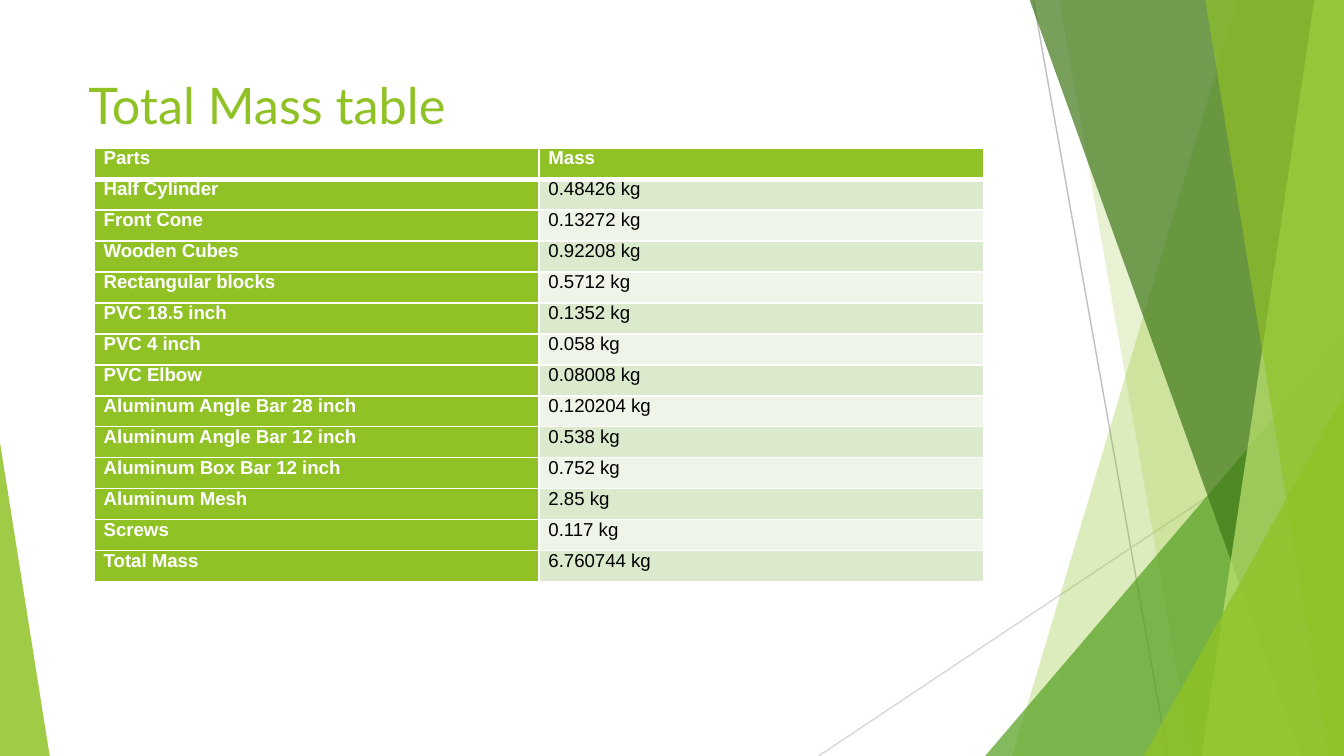
from lxml.etree import SubElement
from pptx import Presentation
from pptx.dml.color import RGBColor
from pptx.enum.shapes import MSO_CONNECTOR, MSO_SHAPE
from pptx.enum.text import MSO_ANCHOR, PP_ALIGN
from pptx.oxml.ns import qn
from pptx.util import Cm, Pt

WIDTH, HEIGHT = 25.4, 14.29
LIME, WHITE, BLACK = "90C226", "FFFFFF", "000000"
BANDS = ("DBE9CD", "EEF4E8")

MASSES = [
    ("Parts", "Mass"),
    ("Half Cylinder", "0.48426 kg"),
    ("Front Cone", "0.13272 kg"),
    ("Wooden Cubes", "0.92208 kg"),
    ("Rectangular blocks", "0.5712 kg"),
    ("PVC 18.5 inch", "0.1352 kg"),
    ("PVC 4 inch", "0.058 kg"),
    ("PVC Elbow", "0.08008 kg"),
    ("Aluminum Angle Bar 28 inch", "0.120204 kg"),
    ("Aluminum Angle Bar 12 inch", "0.538 kg"),
    ("Aluminum Box Bar 12 inch", "0.752 kg"),
    ("Aluminum Mesh", "2.85 kg"),
    ("Screws", "0.117 kg"),
    ("Total Mass", "6.760744 kg"),
]


def rgb(code):
    return RGBColor.from_string(code)


def write(frame, text, *, font="Arial", size=10, color=BLACK, bold=False,
          align=PP_ALIGN.LEFT):
    paragraph = frame.paragraphs[0]
    paragraph.alignment = align
    run = paragraph.add_run()
    run.text = text
    run.font.name = font
    run.font.size = Pt(size)
    run.font.bold = bold
    run.font.color.rgb = rgb(color)


class MassSlide:
    def __init__(self, deck):
        self.slide = deck.slides.add_slide(deck.slide_layouts[6])
        self.shapes = self.slide.shapes

    def paint(self, facet, color, opacity):
        facet.shadow.inherit = False
        facet.line.fill.background()
        facet.fill.solid()
        facet.fill.fore_color.rgb = rgb(color)
        for tint in facet.fill._xPr.iter(qn("a:srgbClr")):
            SubElement(tint, qn("a:alpha"), val=str(opacity * 1000))

    def ray(self, start, end, color):
        ray = self.shapes.add_connector(
            MSO_CONNECTOR.STRAIGHT, *map(Cm, start + end))
        ray.line.color.rgb = rgb(color)
        ray.line.width = Pt(0.75)
        SubElement(ray._element.spPr, qn("a:effectLst"))

    def panel(self, top_x, bottom_x, color, opacity):
        """Full-height panel with a slanted left side, flush with the right edge."""
        outline = self.shapes.build_freeform(Cm(top_x), 0)
        corners = [(WIDTH, 0), (WIDTH, HEIGHT), (bottom_x, HEIGHT)]
        outline.add_line_segments([(Cm(x), Cm(y)) for x, y in corners])
        self.paint(outline.convert_to_shape(), color, opacity)

    def wedge(self, left, top, width, apex, color, opacity):
        """Triangle standing on the bottom edge of the slide."""
        wedge = self.shapes.add_shape(
            MSO_SHAPE.ISOSCELES_TRIANGLE,
            Cm(left), Cm(top), Cm(width), Cm(HEIGHT - top))
        wedge.adjustments[0] = apex
        self.paint(wedge, color, opacity)

    def title(self, text, left, top, width, height):
        frame = self.shapes.add_textbox(
            Cm(left), Cm(top), Cm(width), Cm(height)).text_frame
        frame.word_wrap = True
        frame.vertical_anchor = MSO_ANCHOR.TOP
        write(frame, text, font="Lato", size=27, color=LIME)

    def borders(self, cell, **widths):
        properties = cell._tc.get_or_add_tcPr()
        for side in "LRTB":
            edge = SubElement(properties, qn(f"a:ln{side}"),
                              w=str(Pt(widths.get(side, 1))))
            solid = SubElement(edge, qn("a:solidFill"))
            SubElement(solid, qn("a:srgbClr"), val=WHITE)

    def table(self, rows, left, top, width, height):
        table = self.shapes.add_table(
            len(rows), len(rows[0]),
            Cm(left), Cm(top), Cm(width), Cm(height)).table
        for row in table.rows:
            row.height = Cm(height / len(rows))
        for r, values in enumerate(rows):
            # A thick rule separates the header from the body
            rule = {0: {"B": 3}, 1: {"T": 3}}.get(r, {})
            for c, value in enumerate(values):
                cell = table.cell(r, c)
                heading = r == 0 or c == 0
                cell.margin_left = cell.margin_right = Cm(0.18)
                cell.margin_top = cell.margin_bottom = 0
                self.borders(cell, **rule)
                cell.fill.solid()
                cell.fill.fore_color.rgb = rgb(
                    LIME if heading else BANDS[(r - 1) % 2])
                write(cell.text_frame, value, bold=heading,
                      color=WHITE if heading else BLACK,
                      align=PP_ALIGN.JUSTIFY)


def main():
    deck = Presentation()
    deck.slide_width, deck.slide_height = Cm(WIDTH), Cm(HEIGHT)
    page = MassSlide(deck)

    # Faceted background, back to front
    page.ray((19.53, 0), (22.07, HEIGHT), "BFBFBF")
    page.ray((WIDTH, 7.67), (15.47, HEIGHT), "D8D8D8")
    page.panel(23.39, 19.13, LIME, 30)
    page.panel(20.02, 22.53, LIME, 20)
    page.wedge(18.62, 6.35, 6.78, 1, "54A021", 72)
    page.panel(19.46, 24.59, "3F7818", 70)
    page.panel(24.84, 22.71, "BFE471", 70)
    page.panel(22.78, 25.1, LIME, 65)
    page.wedge(21.62, 7.47, 3.78, 1, LIME, 80)
    page.wedge(0, 8.36, 0.94, 0, LIME, 85)

    # Title and mass table
    page.title("Total Mass table", 1.42, 1.27, 17.91, 2.74)
    page.table(MASSES, 1.78, 2.8, 16.81, 8.2)

    deck.save("out.pptx")


if __name__ == "__main__":
    main()
